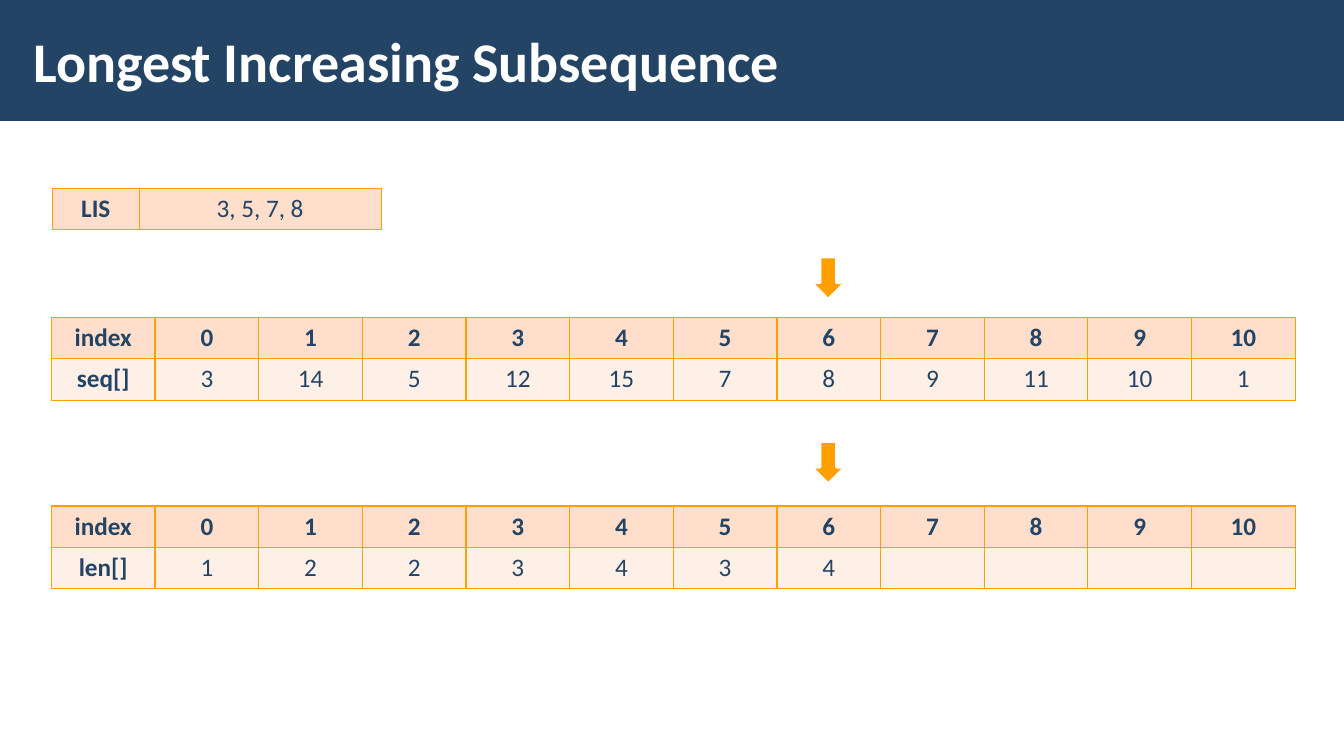
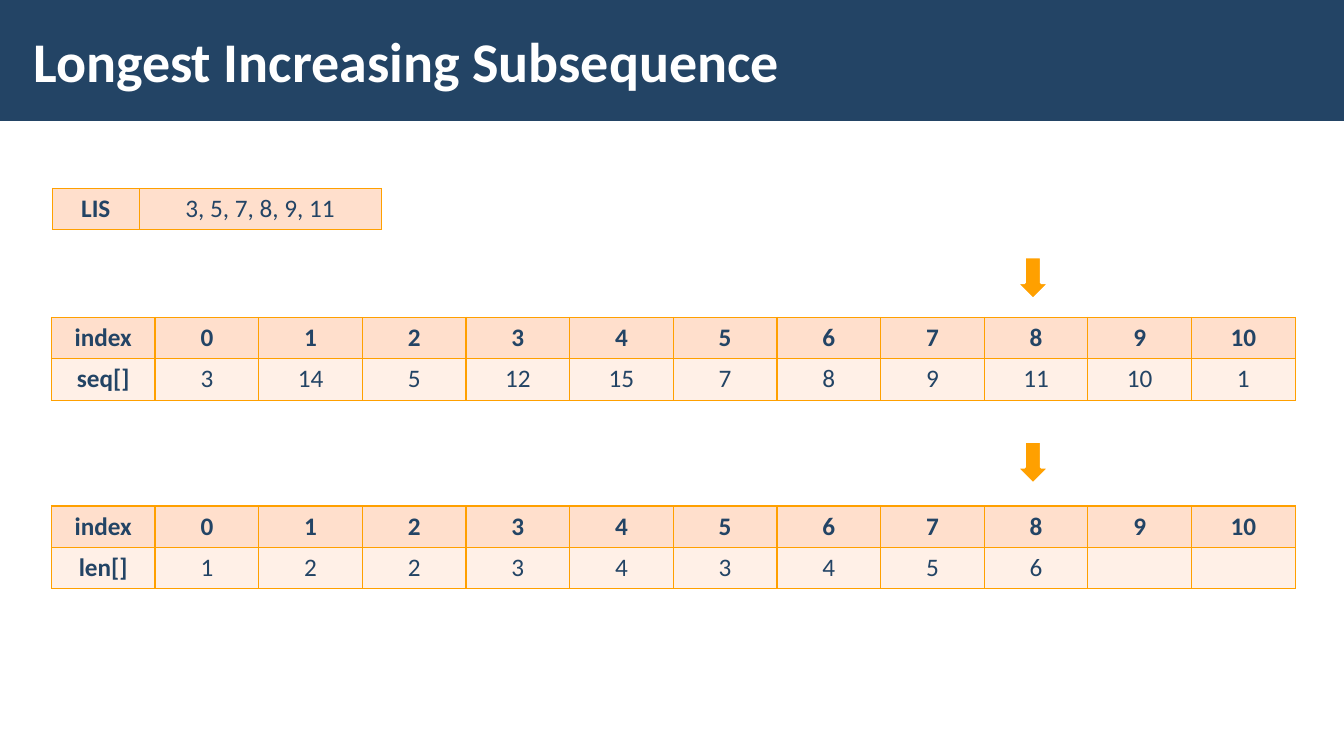
from lxml import etree
from pptx import Presentation
from pptx.dml.color import RGBColor
from pptx.enum import shapes, text
from pptx.oxml import ns
from pptx.util import Inches, Pt

# Shared look
NAVY = RGBColor(0x23, 0x44, 0x65)
AMBER = RGBColor(0xFF, 0xA0, 0x00)
PEACH = RGBColor(0xFF, 0xDF, 0xCC)
CREAM = RGBColor(0xFF, 0xF0, 0xE7)
WHITE = RGBColor(0xFF, 0xFF, 0xFF)
FONT = "Calibri"
TITLE = "Longest Increasing Subsequence"

# Table grid
LEFT, WIDTH, ROW = 0.51, 12.34, 0.41
SEQ = [3, 14, 5, 12, 15, 7, 8, 9, 11, 10, 1]
COUNT = len(SEQ)

# One entry per slide: subsequence, lengths so far, left edge of arrows
STEPS = [
    ("3, 5, 7, 8", [1, 2, 2, 3, 4, 3, 4], 8.05),
    ("3, 5, 7, 8, 9, 11", [1, 2, 2, 3, 4, 3, 4, 5, 6], 10.08),
]


def put(frame, words, size=18, color=NAVY, bold=False,
        align=text.PP_ALIGN.CENTER):
    para = frame.paragraphs[0]
    para.alignment = align
    font = para.font
    if words:
        run = para.add_run()
        run.text = words
        font = run.font
    font.name, font.size, font.bold = FONT, Pt(size), bold
    font.color.rgb = color


def edge(cell):
    """Draw a thin amber border on all four sides of a cell."""
    props = cell._tc.get_or_add_tcPr()
    for side in ("lnL", "lnR", "lnT", "lnB"):
        line = etree.SubElement(props, ns.qn("a:" + side), w=str(Pt(1)))
        fill = etree.SubElement(line, ns.qn("a:solidFill"))
        etree.SubElement(fill, ns.qn("a:srgbClr"), val=str(AMBER))


def grid(slide, left, top, cols, rows):
    """Add a table with a bold first row label and bold index rows."""
    frame = slide.shapes.add_table(
        len(rows), len(cols), Inches(left), Inches(top),
        Inches(sum(cols)), Inches(ROW * len(rows)))
    table = frame.table
    table.first_row = table.horz_banding = False
    for col, width in zip(table.columns, cols):
        col.width = Inches(width)
    for r, row in enumerate(rows):
        for c, value in enumerate(row):
            cell = table.cell(r, c)
            edge(cell)
            cell.fill.solid()
            cell.fill.fore_color.rgb = CREAM if r else PEACH
            bold = c == 0 or row[0] == "index"
            put(cell.text_frame, str(value), bold=bold)


def series(slide, top, label, values):
    """Add an index table, leaving the values not yet known blank."""
    blank = [""] * (COUNT - len(values))
    cols = [WIDTH / (COUNT + 1)] * (COUNT + 1)
    rows = [["index", *range(COUNT)], [label, *values, *blank]]
    grid(slide, LEFT, top, cols, rows)


def arrows(slide, left):
    group = slide.shapes.add_group_shape()
    for top in (2.55, 4.38):
        arrow = group.shapes.add_shape(
            shapes.MSO_SHAPE.DOWN_ARROW, Inches(left), Inches(top),
            Inches(0.33), Inches(0.42))
        arrow.shadow.inherit = False
        arrow.fill.solid()
        arrow.fill.fore_color.rgb = AMBER
        arrow.line.color.rgb = WHITE
        arrow.line.width = Pt(2)


def style(layout, slide, width):
    """Put the title band and title position on the layout."""
    band = slide.shapes.add_shape(
        shapes.MSO_SHAPE.RECTANGLE, 0, 0, width, Inches(1.2))
    band.shadow.inherit = False
    band.fill.solid()
    band.fill.fore_color.rgb = NAVY
    band.line.fill.background()
    layout.shapes.element.insert(2, band.element)

    title = layout.placeholders[0]
    title.left, title.top = Inches(0.21), Inches(0.11)
    title.width, title.height = Inches(10.63), Inches(0.97)
    frame = title.text_frame
    frame.vertical_anchor = text.MSO_ANCHOR.MIDDLE
    frame.margin_left = frame.margin_right = Inches(0.12)
    frame.margin_top = frame.margin_bottom = Inches(0.04)


def main():
    deck = Presentation()
    deck.slide_width, deck.slide_height = Inches(13.33), Inches(7.5)
    layout = deck.slide_layouts[5]

    for step, (best, sizes, left) in enumerate(STEPS):
        slide = deck.slides.add_slide(layout)
        if step == 0:
            style(layout, slide, deck.slide_width)
        put(slide.shapes.title.text_frame, TITLE, size=40, color=WHITE,
            bold=True, align=text.PP_ALIGN.LEFT)
        arrows(slide, left)
        series(slide, 3.15, "seq[]", SEQ)
        series(slide, 5.02, "len[]", sizes)
        grid(slide, 0.52, 1.87, [0.86, 2.4], [["LIS", best]])

    deck.save("out.pptx")


if __name__ == "__main__":
    main()
